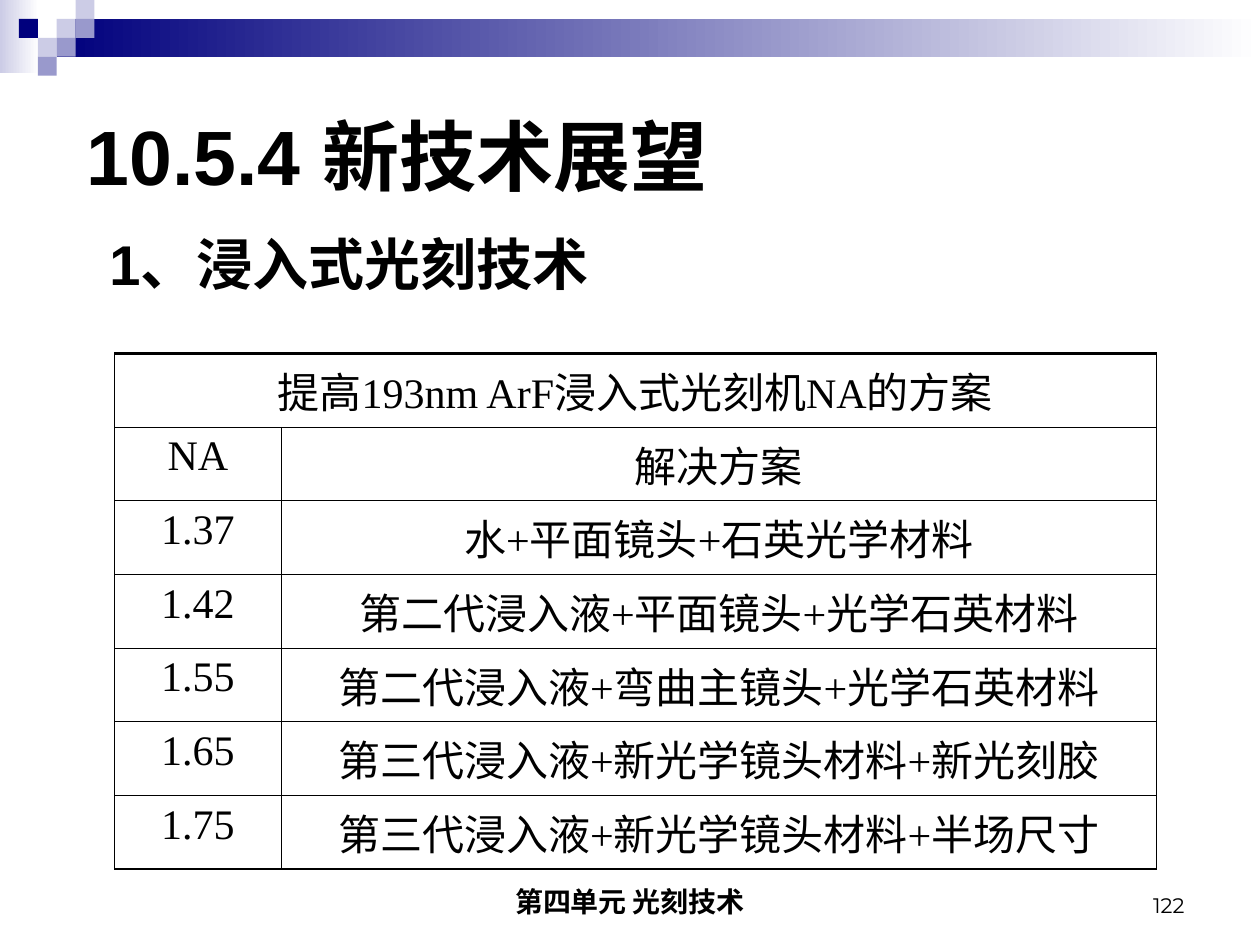
import pptx
import pptx.dml.color
import pptx.enum.shapes
import pptx.enum.text
import pptx.oxml
import pptx.oxml.ns
import pptx.util
from lxml import etree

Pt = pptx.util.Pt
ALIGN = pptx.enum.text.PP_ALIGN
ANCHOR = pptx.enum.text.MSO_ANCHOR
qn = pptx.oxml.ns.qn


def rgb(value):
    return pptx.dml.color.RGBColor.from_string(value)


class Deck:
    INK = "000000"
    CJK = "Noto Sans CJK SC"
    OUTER, INNER, RULE = 0.34, 0.45, 1.47  # border widths

    def __init__(self, width, height):
        self.prs = pptx.Presentation()
        self.prs.slide_width, self.prs.slide_height = Pt(width), Pt(height)
        self.s = self.prs.slides.add_slide(self.prs.slide_layouts[6])

    def rect(self, x, y, w, h, color, fade_to=None):
        sp = self.s.shapes.add_shape(
            pptx.enum.shapes.MSO_SHAPE.RECTANGLE, Pt(x), Pt(y), Pt(w), Pt(h))
        sp.shadow.inherit = False
        sp.line.fill.background()
        if fade_to:
            sp.fill.gradient()
            sp.fill.gradient_angle = 0
            for stop, c in zip(sp.fill.gradient_stops, (color, fade_to)):
                stop.color.rgb = rgb(c)
        else:
            sp.fill.solid()
            sp.fill.fore_color.rgb = rgb(color)

    def run(self, p, text, size, font, bold=False):
        r = p.add_run()
        r.text = text
        r.font.size, r.font.name, r.font.bold = Pt(size), font, bold
        r.font.color.rgb = rgb(self.INK)
        etree.SubElement(r.font._element, qn("a:ea"), typeface=self.CJK)

    def text(self, x, y, w, h, text, size, font, bold=False,
             align=ALIGN.LEFT, anchor=ANCHOR.MIDDLE, wrap=True):
        tf = self.s.shapes.add_textbox(Pt(x), Pt(y), Pt(w), Pt(h)).text_frame
        tf.word_wrap, tf.vertical_anchor = wrap, anchor
        p = tf.paragraphs[0]
        p.alignment = align
        self.run(p, text, size, font, bold)

    def borders(self, cell, widths):
        tcPr = cell._tc.get_or_add_tcPr()
        for i, (side, width) in enumerate(zip("LRTB", widths)):
            ln = etree.Element(qn("a:ln" + side), w=str(Pt(width)))
            fill = etree.SubElement(ln, qn("a:solidFill"))
            etree.SubElement(fill, qn("a:srgbClr"), val=self.INK)
            tcPr.insert(i, ln)

    def table(self, x, y, col_widths, row_height, heading, rows, size, font):
        n, m = len(rows) + 1, len(col_widths)
        table = self.s.shapes.add_table(
            n, m, Pt(x), Pt(y), Pt(sum(col_widths)), Pt(n * row_height)).table
        table.first_row = table.horz_banding = False
        for col, width in zip(table.columns, col_widths):
            col.width = Pt(width)
        for row in table.rows:
            row.height = Pt(row_height)
        table.cell(0, 0).merge(table.cell(0, m - 1))
        for i, values in enumerate([(heading,), *rows]):
            for j in range(m):
                cell = table.cell(i, j)
                cell.fill.background()
                self.borders(cell, (
                    self.OUTER if j == 0 else self.INNER,
                    self.OUTER if j == m - 1 else self.INNER,
                    self.RULE if i == 0 else self.INNER,
                    self.RULE if i == n - 1 else self.INNER))
                if j < len(values):
                    p = cell.text_frame.paragraphs[0]
                    p.alignment = ALIGN.CENTER
                    self.run(p, values[j], size, font)


def main():
    deck = Deck(720, 540)

    # Header band and its checker of small squares
    navy, mid, pale, white = "00007D", "9999CC", "CCCCE6", "FFFFFF"
    unit = 10.8
    deck.rect(0, 0, 22.3, 41.8, pale, white)
    deck.rect(3 * unit, unit, 720 - 3 * unit, 2 * unit, navy, white)
    for col, row, color in [(3, 1, pale), (4, 0, pale), (4, 1, mid), (2, 2, pale),
                            (1, 1, navy), (3, 2, mid), (2, 3, mid)]:
        deck.rect(col * unit, row * unit, unit, unit, color)

    # Footer and page number
    deck.text(246, 492, 228, 36, "第四单元 光刻技术", 16, deck.CJK, True,
              ALIGN.CENTER, ANCHOR.BOTTOM)
    deck.text(516, 492, 168, 36, "122", 12, "Montserrat", False,
              ALIGN.RIGHT, ANCHOR.BOTTOM)

    # Title
    deck.text(42.5, 43.2, 613.5, 90, "10.5.4 新技术展望", 44, "Arial", True)

    # Table of solutions
    deck.table(65.3, 202, (95.5, 499.8), 42.1, "提高193nm ArF浸入式光刻机NA的方案", [
        ("NA", "解决方案"),
        ("1.37", "水+平面镜头+石英光学材料"),
        ("1.42", "第二代浸入液+平面镜头+光学石英材料"),
        ("1.55", "第二代浸入液+弯曲主镜头+光学石英材料"),
        ("1.65", "第三代浸入液+新光学镜头材料+新光刻胶"),
        ("1.75", "第三代浸入液+新光学镜头材料+半场尺寸"),
    ], 24, "Times New Roman")

    # Subtitle
    deck.text(55.4, 127.4, 296, 46, "1、浸入式光刻技术", 32, "Arial", True,
              wrap=False)

    deck.prs.save("out.pptx")


if __name__ == "__main__":
    main()
